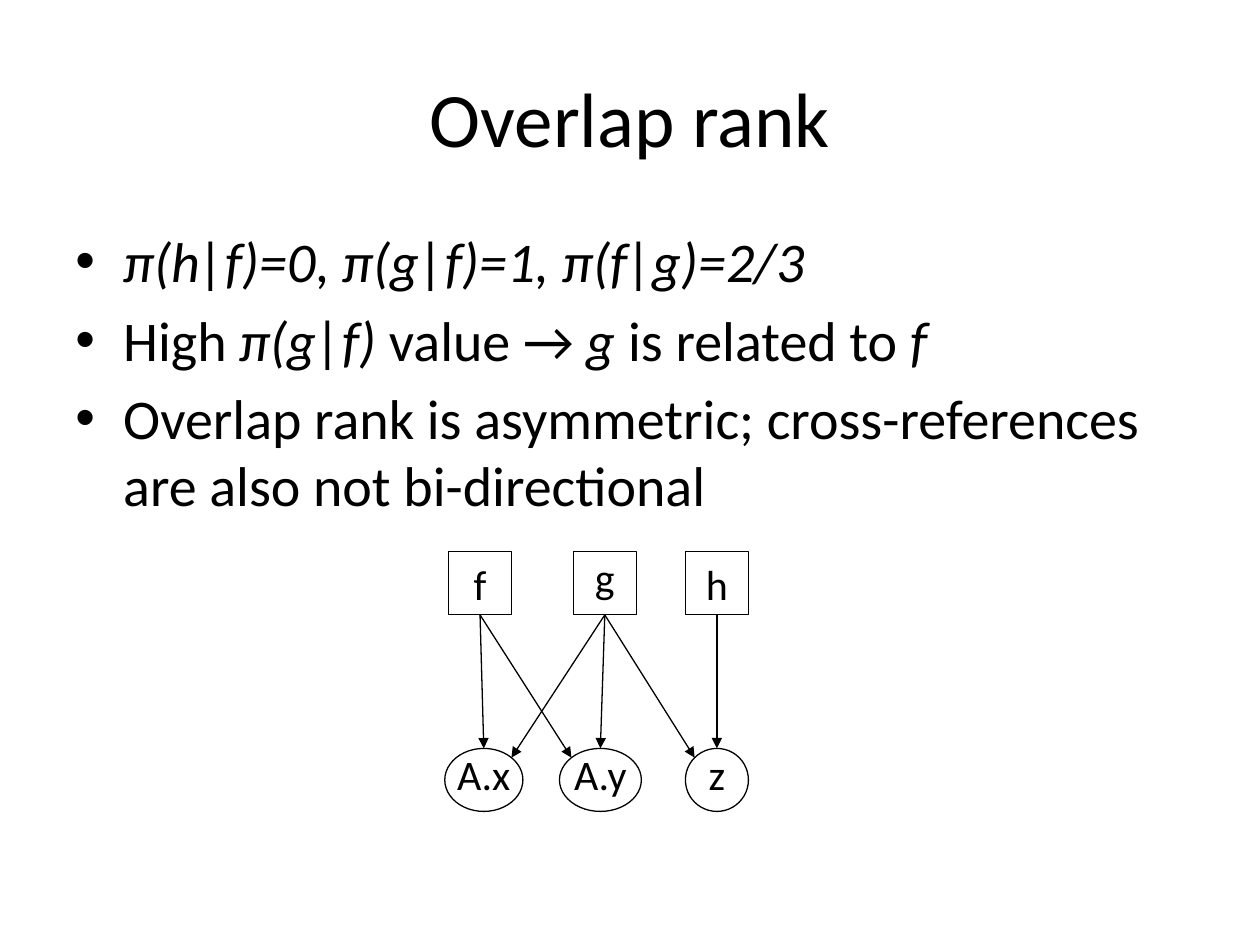
import math

from lxml import etree
from pptx import Presentation
from pptx.dml.color import RGBColor
from pptx.enum.shapes import MSO_CONNECTOR, MSO_SHAPE
from pptx.enum.text import MSO_ANCHOR, PP_ALIGN
from pptx.oxml.ns import qn
from pptx.util import Inches, Pt

RECT, OVAL = MSO_SHAPE.RECTANGLE, MSO_SHAPE.OVAL
STRAIGHT = MSO_CONNECTOR.STRAIGHT
MIDDLE, CENTER = MSO_ANCHOR.MIDDLE, PP_ALIGN.CENTER
BLACK = RGBColor(0, 0, 0)
FONT = "Calibri"

TITLE = "Overlap rank"
# Each bullet is a list of (text, italic) runs.
BULLETS = [
    [("π(h|f)=0, π(g|f)=1, π(f|g)=2/3", True)],
    [("High ", False), ("π(g|f) ", True), ("value → ", False), ("g", True),
     (" is related to ", False), ("f", True)],
    [("Overlap rank is asymmetric; cross-references are also not "
      "bi-directional", False)],
]
NODE_H, FUNCTION_Y, FIELD_Y = 0.5, 4.38, 5.94
# label: (shape, left, top, width, bottom inset)
NODES = {
    "f": (RECT, 3.56, FUNCTION_Y, 0.5, 0),
    "g": (RECT, 4.55, FUNCTION_Y, 0.5, 0.1),
    "h": (RECT, 5.44, FUNCTION_Y, 0.5, 0),
    "A.x": (OVAL, 3.53, FIELD_Y, 0.62, 0.1),
    "A.y": (OVAL, 4.44, FIELD_Y, 0.65, 0.1),
    "z": (OVAL, 5.44, FIELD_Y, 0.5, 0.1),
}
# (function, field, side of the oval that is hit: -1 left, 0 top, 1 right)
ACCESSES = [("f", "A.y", -1), ("f", "A.x", 0), ("g", "A.x", 1),
            ("g", "A.y", 0), ("g", "z", -1), ("h", "z", 0)]


def add_run(p, text, size, italic=False):
    r = p.add_run()
    r.text = text
    r.font.name, r.font.size, r.font.italic = FONT, Pt(size), italic
    r.font.color.rgb = BLACK


def add_text_box(s, x, y, w, h):
    tf = s.shapes.add_textbox(*map(Inches, (x, y, w, h))).text_frame
    tf.word_wrap = True
    return tf


def set_bullet(p, indent):
    pPr = p._p.get_or_add_pPr()
    pPr.set("marL", str(Inches(indent)))
    pPr.set("indent", str(-Inches(indent)))
    etree.SubElement(pPr, qn("a:buFont"), typeface="Arial")
    etree.SubElement(pPr, qn("a:buChar"), char="•")


def add_node(s, label):
    kind, x, y, w, bottom = NODES[label]
    sp = s.shapes.add_shape(kind, *map(Inches, (x, y, w, NODE_H)))
    sp.shadow.inherit = False
    sp.fill.background()
    sp.line.color.rgb, sp.line.width = BLACK, Pt(0.75)
    tf = sp.text_frame
    tf.word_wrap = False
    tf.vertical_anchor = MIDDLE
    tf.margin_left = tf.margin_top = tf.margin_right = 0
    tf.margin_bottom = Inches(bottom)
    p = tf.paragraphs[0]
    p.alignment = CENTER
    add_run(p, label, 24)
    return sp


def add_access(s, start, end, side):
    """Arrow from the bottom of a box to the top or upper diagonal of an oval."""
    angle = side * math.pi / 4
    end_x = end.left + end.width / 2 * (1 + math.sin(angle))
    end_y = end.top + end.height / 2 * (1 - math.cos(angle))
    line = s.shapes.add_connector(
        STRAIGHT, start.left + start.width // 2, start.top + start.height,
        round(end_x), round(end_y))
    line.begin_connect(start, 2)
    if side == 0:
        line.end_connect(end, 0)
    line.line.color.rgb, line.line.width = BLACK, Pt(0.75)
    etree.SubElement(line.line._get_or_add_ln(), qn("a:tailEnd"),
                     type="triangle")
    etree.SubElement(line._element.spPr, qn("a:effectLst"))


def main():
    prs = Presentation()
    prs.slide_width, prs.slide_height = Inches(10), Inches(7.5)
    s = prs.slides.add_slide(prs.slide_layouts[6])

    tf = add_text_box(s, 0.5, 0.3, 9, 1.25)
    tf.vertical_anchor = MIDDLE
    tf.paragraphs[0].alignment = CENTER
    add_run(tf.paragraphs[0], TITLE, 44)

    tf = add_text_box(s, 0.5, 1.75, 9, 4.95)
    for i, runs in enumerate(BULLETS):
        p = tf.add_paragraph() if i else tf.paragraphs[0]
        p.space_before = Pt(6.4 if i else 0)
        set_bullet(p, 0.38)
        for text, italic in runs:
            add_run(p, text, 32, italic)

    shapes = {label: add_node(s, label) for label in NODES}
    for function, field, side in ACCESSES:
        add_access(s, shapes[function], shapes[field], side)

    prs.save("out.pptx")


if __name__ == "__main__":
    main()
